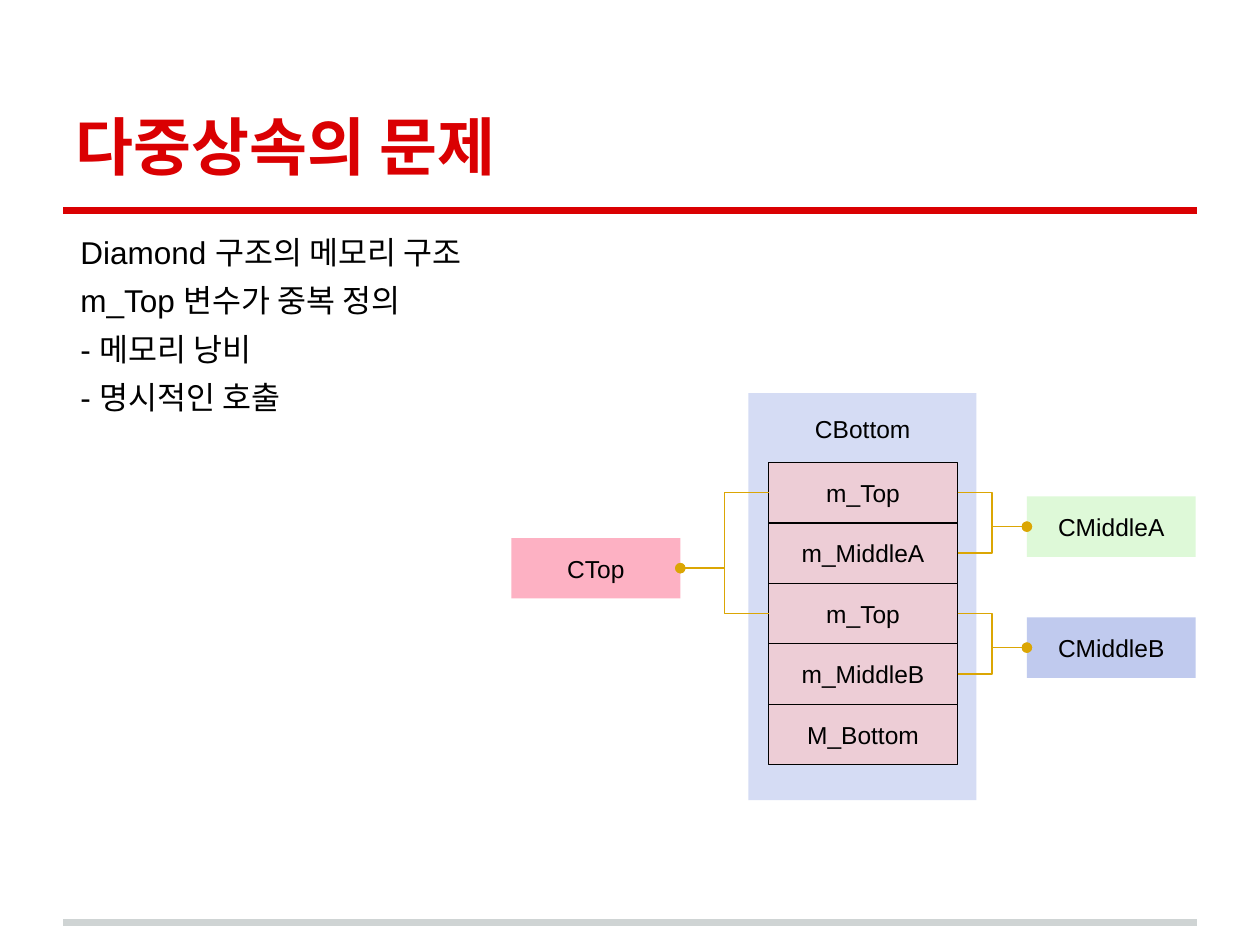
from dataclasses import dataclass

from lxml import etree
from pptx import Presentation
from pptx.dml.color import RGBColor
from pptx.enum.shapes import MSO_CONNECTOR, MSO_SHAPE
from pptx.enum.text import MSO_ANCHOR, MSO_AUTO_SIZE, PP_ALIGN
from pptx.oxml.ns import qn
from pptx.util import Inches, Pt

RECTANGLE = MSO_SHAPE.RECTANGLE
STRAIGHT, ELBOW = MSO_CONNECTOR.STRAIGHT, MSO_CONNECTOR.ELBOW
LEFT, CENTER = PP_ALIGN.LEFT, PP_ALIGN.CENTER
TITLE_ONLY_LAYOUT = 5


@dataclass(frozen=True)
class Theme:
    font: str = "Arial"
    title_size: float = 36
    body_size: float = 18
    label_size: float = 14
    red: str = "DA0002"
    gray: str = "CFD4D4"
    black: str = "000000"
    gold: str = "DBA604"
    blue: str = "96A8E4"
    green: str = "C9F6BF"
    rose: str = "FEC3C3"
    pink: str = "FD7D9B"


@dataclass(frozen=True)
class Box:
    text: str
    left: float
    top: float
    width: float
    height: float
    color: str
    opacity: int = 60
    outlined: bool = False

    @property
    def right(self) -> float:
        return self.left + self.width

    @property
    def middle(self) -> float:
        return self.top + self.height / 2


THEME = Theme()
ROW_HEIGHT = 0.48
MEMBER_LEFT, MEMBER_TOP, MEMBER_WIDTH = 6.1, 3.67, 1.5
CLASS_WIDTH = 1.34
MEMBER_NAMES = ["m_Top", "m_MiddleA", "m_Top", "m_MiddleB", "M_Bottom"]
BODY_LINES = [
    "Diamond 구조의 메모리 구조",
    "m_Top 변수가 중복 정의",
    "- 메모리 낭비",
    "- 명시적인 호출",
]


def add_run(paragraph, text: str, size: float, color: str, bold: bool = False) -> None:
    run = paragraph.add_run()
    run.text = text
    run.font.name = THEME.font
    run.font.size = Pt(size)
    run.font.bold = bold
    run.font.color.rgb = RGBColor.from_string(color)


def set_margins(text_frame, margin: float) -> None:
    text_frame.margin_left = text_frame.margin_right = Inches(margin)
    text_frame.margin_top = text_frame.margin_bottom = Inches(margin)


def add_line(slide, kind, start: tuple[float, float], end: tuple[float, float],
             color: str, width: float, oval_end: bool = False) -> None:
    points = [Inches(value) for value in (*start, *end)]
    connector = slide.shapes.add_connector(kind, *points)
    connector.line.color.rgb = RGBColor.from_string(color)
    connector.line.width = Pt(width)
    if oval_end:
        line = connector.line._get_or_add_ln()
        etree.SubElement(line, qn("a:tailEnd"), type="oval")
    etree.SubElement(connector._element.spPr, qn("a:effectLst"))


def add_box(slide, box: Box) -> None:
    shape = slide.shapes.add_shape(
        RECTANGLE, Inches(box.left), Inches(box.top), Inches(box.width), Inches(box.height))
    shape.shadow.inherit = False
    shape.fill.solid()
    shape.fill.fore_color.rgb = RGBColor.from_string(box.color)
    color = shape._element.spPr.find(f"{qn('a:solidFill')}/{qn('a:srgbClr')}")
    etree.SubElement(color, qn("a:alpha"), val=str(box.opacity * 1000))
    if box.outlined:
        shape.line.color.rgb = RGBColor.from_string(THEME.black)
        shape.line.width = Pt(0.75)
    else:
        shape.line.fill.background()
    if box.text:
        shape.text_frame.vertical_anchor = MSO_ANCHOR.MIDDLE
        paragraph = shape.text_frame.paragraphs[0]
        paragraph.alignment = CENTER
        add_run(paragraph, box.text, THEME.label_size, THEME.black)


def add_title(slide, text: str) -> None:
    title = slide.shapes.title
    title.left, title.top = Inches(0.5), Inches(0.3)
    title.width, title.height = Inches(9), Inches(1.25)
    frame = title.text_frame
    frame.auto_size = MSO_AUTO_SIZE.NONE
    frame.vertical_anchor = MSO_ANCHOR.BOTTOM
    set_margins(frame, 0.1)
    frame.paragraphs[0].alignment = LEFT
    add_run(frame.paragraphs[0], text, THEME.title_size, THEME.red, bold=True)


def add_body(slide, lines: list[str]) -> None:
    text_box = slide.shapes.add_textbox(Inches(0.5), Inches(1.75), Inches(9.15), Inches(5.43))
    frame = text_box.text_frame
    frame.word_wrap = True
    set_margins(frame, 0.1)
    for index, text in enumerate(lines):
        paragraph = frame.add_paragraph() if index else frame.paragraphs[0]
        paragraph._p.get_or_add_pPr().set("marL", str(Inches(0.04)))
        if index:
            paragraph.space_before = Pt(6)
        add_run(paragraph, text, THEME.body_size, THEME.black)


def add_caption(slide, text: str) -> None:
    text_box = slide.shapes.add_textbox(Inches(6.37), Inches(3.24), Inches(0.96), Inches(0.34))
    frame = text_box.text_frame
    frame.word_wrap = False
    frame.auto_size = MSO_AUTO_SIZE.SHAPE_TO_FIT_TEXT
    add_run(frame.paragraphs[0], text, THEME.label_size, THEME.black)


def add_links(slide, members: list[Box], owner: Box) -> None:
    """Join each member to its owning class, on the side where the class stands."""
    for member in members:
        if owner.left > member.left:
            start_x, end_x = member.right, owner.left
        else:
            start_x, end_x = member.left, owner.right
        add_line(slide, ELBOW, (start_x, member.middle), (end_x, owner.middle),
                 THEME.gold, 1, oval_end=True)


def add_memory_diagram(slide) -> None:
    members = [
        Box(name, MEMBER_LEFT, MEMBER_TOP + row * ROW_HEIGHT, MEMBER_WIDTH, ROW_HEIGHT,
            THEME.rose, outlined=True)
        for row, name in enumerate(MEMBER_NAMES)
    ]
    middle_a = Box("CMiddleA", 8.15, 3.94, CLASS_WIDTH, ROW_HEIGHT, THEME.green)
    middle_b = Box("CMiddleB", 8.15, 4.9, CLASS_WIDTH, ROW_HEIGHT, THEME.blue)
    top = Box("CTop", 4.06, 4.27, CLASS_WIDTH, ROW_HEIGHT, THEME.pink)
    bottom = Box("", 5.94, 3.12, 1.81, 3.23, THEME.blue, opacity=40)

    for box in (bottom, *members, middle_a, middle_b, top):
        add_box(slide, box)
    add_caption(slide, "CBottom")
    add_links(slide, members[0:2], middle_a)
    add_links(slide, members[2:4], middle_b)
    add_links(slide, [members[0], members[2]], top)


def main() -> None:
    presentation = Presentation()
    presentation.slide_width, presentation.slide_height = Inches(10), Inches(7.5)
    slide = presentation.slides.add_slide(presentation.slide_layouts[TITLE_ONLY_LAYOUT])
    for height, color in ((7.32, THEME.gray), (1.67, THEME.red)):
        add_line(slide, STRAIGHT, (0.5, height), (9.5, height), color, 4)
    add_body(slide, BODY_LINES)
    add_title(slide, "다중상속의 문제")
    add_memory_diagram(slide)
    presentation.save("out.pptx")


if __name__ == "__main__":
    main()
